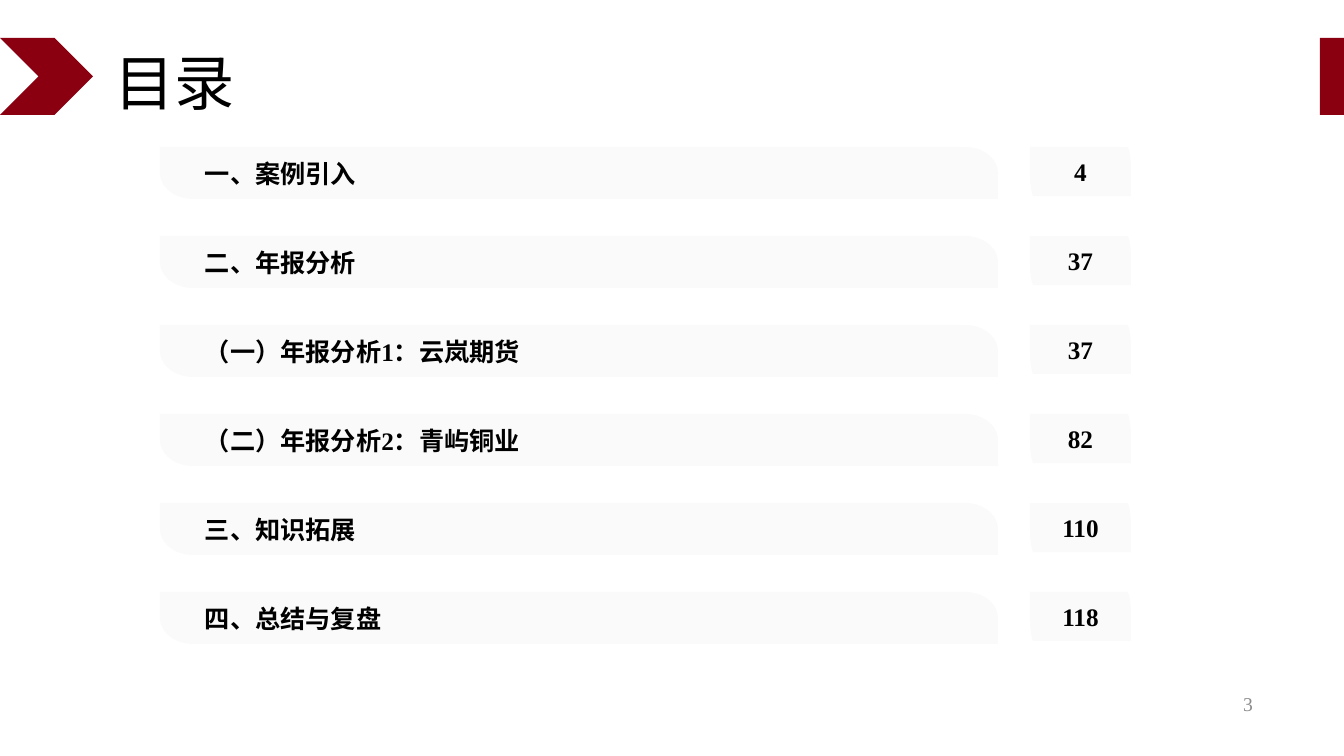
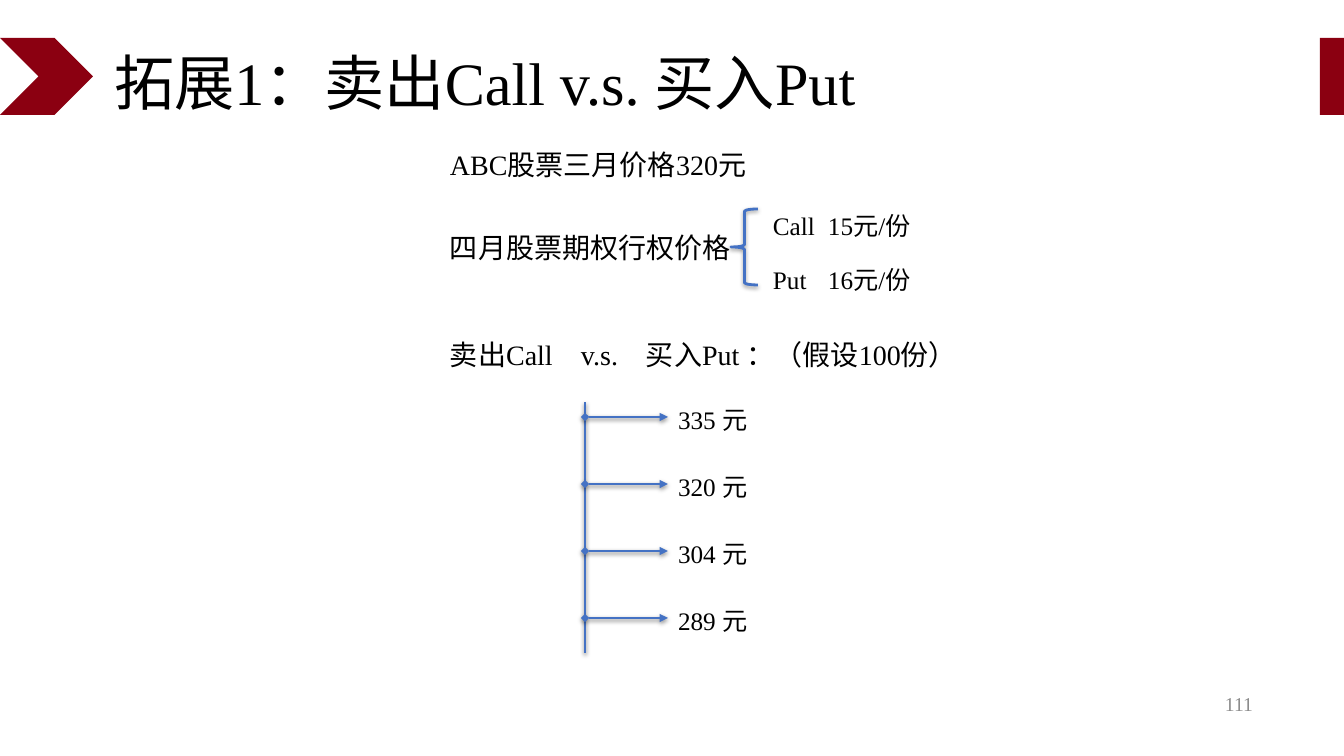
import math

import pptx
import pptx.dml.color
import pptx.enum.shapes
import pptx.enum.text
import pptx.oxml
import pptx.oxml.ns
import pptx.util

SHAPE = pptx.enum.shapes.MSO_SHAPE
ALIGN = pptx.enum.text.PP_ALIGN
ANCHOR = pptx.enum.text.MSO_ANCHOR

PX = 914400 / 100.8
FONT = "Times New Roman"
CRIMSON, BLACK, GRAY, PANEL, BLUE = "8B0011", "000000", "8C8C8C", "FAFAFA", "4472C4"

CONTENTS = [
    ("一、案例引入", "4"),
    ("二、年报分析", "37"),
    ("（一）年报分析1：云岚期货", "37"),
    ("（二）年报分析2：青屿铜业", "82"),
    ("三、知识拓展", "110"),
    ("四、总结与复盘", "118"),
]
ROW_TOP, ROW_STEP = 147, 89

STATEMENTS = [
    ("ABC股票三月价格320元", (440, 139, 398, 44), ()),
    ("四月股票期权行权价格", (440, 222, 398, 44), ()),
    ("卖出Call\tv.s.\t买入Put ：（假设100份）", (440, 329, 650, 44), (131, 196)),
]
PREMIUMS = "Call\t15元/份\nPut\t16元/份"
PRICES = ["335 元", "320 元", "304 元", "289 元"]
AXIS_X, ARROW_END, ARROW_TOP, ARROW_STEP = 585, 668, 417, 67


def px(value):
    return pptx.util.Emu(round(value * PX))


def rgb(value):
    return pptx.dml.color.RGBColor.from_string(value)


def append_xml(parent, tag, content="", **attributes):
    attrs = "".join(f' {key}="{value}"' for key, value in attributes.items())
    xml = f'<a:{tag} {pptx.oxml.ns.nsdecls("a")}{attrs}>{content}</a:{tag}>'
    parent.append(pptx.oxml.parse_xml(xml))
    return parent[-1]


def write(box, text, size=18, color=BLACK, bold=False, align=ALIGN.LEFT,
          anchor=ANCHOR.TOP, spacing=None, after=None, insets=(10, 5, 10, 5), tabs=()):
    frame = box.text_frame
    frame.word_wrap = True
    frame.vertical_anchor = anchor
    frame.margin_left, frame.margin_top, frame.margin_right, frame.margin_bottom = map(px, insets)
    for index, line in enumerate(text.split("\n")):
        para = frame.add_paragraph() if index else frame.paragraphs[0]
        if tabs:
            tab_list = append_xml(para._p.get_or_add_pPr(), "tabLst")
            for position in tabs:
                append_xml(tab_list, "tab", pos=px(position), algn="l")
        para.alignment = align
        para.line_spacing = spacing
        if after is not None:
            para.space_after = pptx.util.Pt(after)
        span = para.add_run()
        span.text = line
        span.font.name = FONT
        span.font.size = pptx.util.Pt(size)
        span.font.bold = bold
        span.font.color.rgb = rgb(color)


def add_text(page, text, area, **style):
    write(page.shapes.add_textbox(*map(px, area)), text, **style)


def add_body(page, text, area, size=18, spacing=1.1, tabs=()):
    add_text(page, text, area, size=size, align=ALIGN.JUSTIFY, spacing=spacing, after=6, tabs=tabs)


def paint(shape, color):
    shape.shadow.inherit = False
    shape.fill.solid()
    shape.fill.fore_color.rgb = rgb(color)
    shape.line.fill.background()


def add_panel(page, area, radius_x, radius_y):
    left, top, width, height = area
    right, bottom = left + width, top + height
    angles = [math.radians(10 * step) for step in range(10)]
    upper = [(right - radius_x + radius_x * math.sin(angle),
              top + radius_y - radius_y * math.cos(angle)) for angle in angles]
    lower = [(left + radius_x - radius_x * math.sin(angle),
              bottom - radius_y + radius_y * math.cos(angle)) for angle in angles]
    builder = page.shapes.build_freeform(px(left), px(top))
    outline = upper + [(right, bottom)] + lower
    builder.add_line_segments([(px(x), px(y)) for x, y in outline], close=True)
    panel = builder.convert_to_shape()
    paint(panel, PANEL)
    return panel


def style_stroke(shape):
    shape.line.color.rgb = rgb(BLUE)
    shape.line.width = pptx.util.Pt(2)
    properties = shape._element.spPr
    effects = properties.find(pptx.oxml.ns.qn("a:effectLst"))
    if effects is None:
        effects = append_xml(properties, "effectLst")
    append_xml(effects, "outerShdw",
               '<a:srgbClr val="000000"><a:alpha val="38000"/></a:srgbClr>',
               blurRad=pptx.util.Pt(3), dist=pptx.util.Pt(1.6), dir=5400000, rotWithShape=0)


def add_line(page, start, end, arrow=False):
    line = page.shapes.add_connector(
        pptx.enum.shapes.MSO_CONNECTOR.STRAIGHT, *map(px, start + end))
    style_stroke(line)
    if arrow:
        stroke = line._element.spPr.find(pptx.oxml.ns.qn("a:ln"))
        append_xml(stroke, "headEnd", type="diamond")
        append_xml(stroke, "tailEnd", type="triangle")


def add_page(deck, title, number):
    page = deck.slides.add_slide(deck.slide_layouts[6])
    for kind, area in ((SHAPE.CHEVRON, (0, 38, 93, 77)), (SHAPE.RECTANGLE, (1320, 38, 24, 77))):
        paint(page.shapes.add_shape(kind, *map(px, area)), CRIMSON)
    add_text(page, title, (104, 40, 929, 91), size=43, spacing=0.9, anchor=ANCHOR.MIDDLE)
    add_text(page, number, (961, 684, 302, 40), size=14, color=GRAY,
             align=ALIGN.RIGHT, anchor=ANCHOR.MIDDLE)
    return page


def build_contents(deck):
    page = add_page(deck, "目录", "3")
    for index, (heading, number) in enumerate(CONTENTS):
        top = ROW_TOP + index * ROW_STEP
        write(add_panel(page, (160, top, 838, 52), 33, 26), heading, bold=True,
              anchor=ANCHOR.MIDDLE, insets=(45, 4, 7, 4))
        write(add_panel(page, (1030, top, 101, 49), 4, 24), number, bold=True,
              align=ALIGN.CENTER, anchor=ANCHOR.MIDDLE, insets=(0, 0, 0, 0))


def build_options(deck):
    page = add_page(deck, "拓展1：卖出Call v.s. 买入Put", "111")
    for text, area, tabs in STATEMENTS:
        add_body(page, text, area, size=20, tabs=tabs)
    brace = page.shapes.add_shape(SHAPE.LEFT_BRACE, *map(px, (731, 209, 27, 76)))
    brace.shadow.inherit = False
    brace.fill.background()
    style_stroke(brace)
    add_body(page, PREMIUMS, (763, 190, 319, 105), spacing=1.5, tabs=(55,))
    add_line(page, (AXIS_X, 653), (AXIS_X, 402))
    for index, price in enumerate(PRICES):
        y = ARROW_TOP + index * ARROW_STEP
        add_line(page, (AXIS_X, y), (ARROW_END, y), arrow=True)
        add_body(page, price, (ARROW_END, y - 21, 196, 41))


def main():
    deck = pptx.Presentation()
    deck.slide_width, deck.slide_height = px(1344), px(756)
    build_contents(deck)
    build_options(deck)
    deck.save("out.pptx")


if __name__ == "__main__":
    main()
